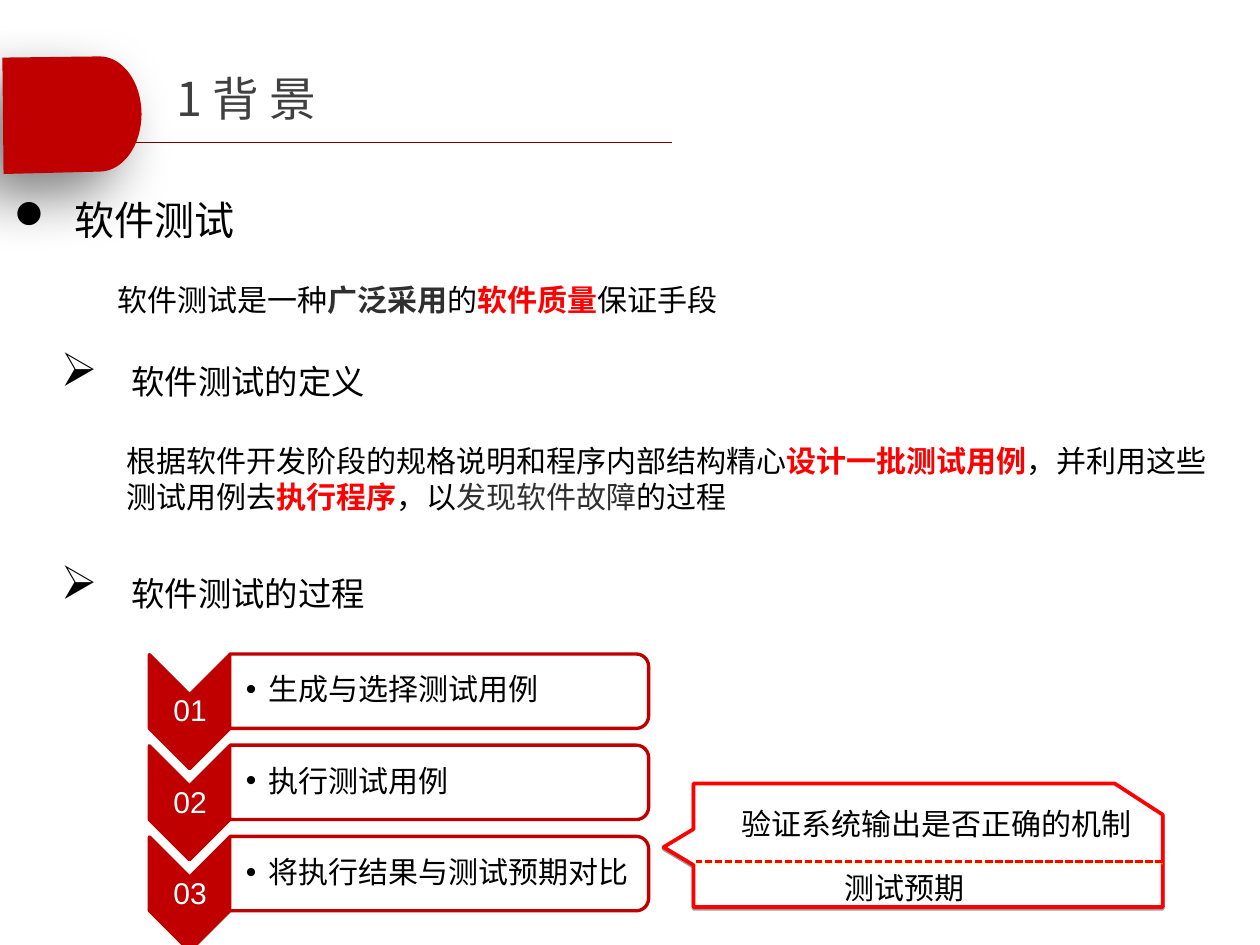
from math import cos, pi, sin
from lxml import etree
from pptx import Presentation
from pptx.dml.color import RGBColor
from pptx.enum.dml import MSO_LINE
from pptx.enum.shapes import MSO_CONNECTOR, MSO_SHAPE
from pptx.enum.text import MSO_ANCHOR, PP_ALIGN
from pptx.oxml.ns import qn
from pptx.util import Inches, Pt

WIDE = 10.5
HIGH = WIDE * 3 / 4
STRAIGHT = MSO_CONNECTOR.STRAIGHT
CHEVRON, CARD = MSO_SHAPE.CHEVRON, MSO_SHAPE.ROUND_2_SAME_RECTANGLE
DASH = MSO_LINE.SQUARE_DOT
MIDDLE, CENTER = MSO_ANCHOR.MIDDLE, PP_ALIGN.CENTER
CJK, LATIN = "Noto Sans CJK SC", "Arial"
# A bullet is (character, font); in Wingdings l is a disc and Ø an arrowhead
DISC, ARROW, DOT = ("l", "Wingdings"), ("Ø", "Wingdings"), ("•", LATIN)
WHITE = RGBColor(0xFF, 0xFF, 0xFF)
BLACK = RGBColor(0, 0, 0)
GRAY = RGBColor(0x40, 0x40, 0x40)
DARK = RGBColor(0x30, 0x30, 0x30)
CRIMSON = RGBColor(0xC0, 0, 0)
MAROON = RGBColor(0x76, 0, 0)
RED = RGBColor(0xFF, 0, 0)
YELLOW = RGBColor(0xFF, 0xFF, 0)

# A run is (text, size, colour, bold)
TITLE = [("1 背 景", 28, GRAY, False)]
TOPIC = [("软件测试", 24, BLACK, False)]
INTRO = [
    ("软件测试是一种", 18, BLACK, False), ("广泛采用", 18, DARK, True),
    ("的", 18, BLACK, False), ("软件质量", 18, RED, True),
    ("保证手段", 18, BLACK, False),
]
HEADS = [("软件测试的定义", 2.85, 3.74), ("软件测试的过程", 4.62, 4.29)]
MEANING = [
    ("根据软件开发阶段的规格说明和程序内部结构精心", 18, BLACK, False),
    ("设计一批测试用例", 18, RED, True),
    ("，并利用这些测试用例去", 18, BLACK, False), ("执行程序", 18, RED, True),
    ("，以", 18, BLACK, False), ("发现软件故障", 18, DARK, False),
    ("的过程", 18, BLACK, False),
]
STEPS = ["生成与选择测试用例", "执行测试用例", "将执行结果与测试预期对比"]
NOTES = [("测试预期", 6.94, 7.2, 2.44), ("验证系统输出是否正确的机制", 6.08, 6.66, 4.17)]
CALLOUT = [(9.69, 7.56), (5.78, 7.56), (5.78, 7.21), (5.53, 7.06),
           (5.78, 6.91), (5.78, 6.53), (9.29, 6.53), (9.69, 6.79)]

deck = Presentation()
deck.slide_width, deck.slide_height = Inches(WIDE), Inches(HIGH)
slide = deck.slides.add_slide(deck.slide_layouts[6])
shapes = slide.shapes


def shade(shape, tint=None, alpha=0, blur=0, dist=0, angle=0):
    """Give the shape an outer shadow, or none when tint is None."""
    props = shape._element.spPr
    for old in props.findall(qn("a:effectLst")):
        props.remove(old)
    effects = etree.SubElement(props, qn("a:effectLst"))
    if tint is not None:
        cast = etree.SubElement(
            effects, qn("a:outerShdw"), blurRad=str(Pt(blur)), dist=str(Pt(dist)),
            dir=str(angle * 60000), algn="ctr", rotWithShape="0")
        color = etree.SubElement(cast, qn("a:srgbClr"), val=str(tint))
        etree.SubElement(color, qn("a:alpha"), val=str(alpha * 1000))


def paint(shape, fill, line=None, weight=2):
    shape.fill.solid()
    shape.fill.fore_color.rgb = fill
    if line is None:
        shape.line.fill.background()
    else:
        shape.line.color.rgb = line
        shape.line.width = Pt(weight)
    shade(shape)


def rule(x1, x2, y, color, weight):
    line = shapes.add_connector(STRAIGHT, Inches(x1), Inches(y), Inches(x2), Inches(y))
    line.line.color.rgb = color
    line.line.width = Pt(weight)
    shade(line)
    return line


def outline(points):
    pen = shapes.build_freeform(Inches(points[0][0]), Inches(points[0][1]))
    pen.add_line_segments([(Inches(x), Inches(y)) for x, y in points[1:]])
    return pen.convert_to_shape()


def turned(kind, mid, row, length, breadth):
    """Add a shape turned a quarter clockwise about the centre (mid, row)."""
    shape = shapes.add_shape(kind, Inches(mid - length / 2), Inches(row - breadth / 2),
                             Inches(length), Inches(breadth))
    shape.rotation = 90
    return shape


def write(box, runs, bullet=None, indent=0.5, font=CJK, wrap=True, insets=None):
    area = shapes.add_textbox(*[Inches(v) for v in box])
    frame = area.text_frame
    frame.word_wrap = wrap
    if insets:
        frame.vertical_anchor = MIDDLE
        (frame.margin_left, frame.margin_top,
         frame.margin_right, frame.margin_bottom) = [Inches(v) for v in insets]
    para = frame.paragraphs[0]
    for text, size, color, bold in runs:
        run = para.add_run()
        run.text = text
        run.font.size, run.font.bold = Pt(size), bold
        run.font.color.rgb = color
        run.font.name = font
        etree.SubElement(run._r.get_or_add_rPr(), qn("a:ea"), typeface=font)
    if bullet:
        mark, face = bullet
        props = para._p.get_or_add_pPr()
        props.set("marL", str(Inches(indent)))
        props.set("indent", str(-Inches(indent)))
        etree.SubElement(props, qn("a:buFont"), typeface=face)
        etree.SubElement(props, qn("a:buChar"), char=mark)
    return para


# Heading band
rule(0.69, 5.6, 1.19, MAROON, 0.75)
bend = [(0.83 + 0.35 * sin(pi * i / 32), 0.95 - 0.48 * cos(pi * i / 32))
        for i in range(33)]
tab = outline([(0.02, 0.48)] + bend + [(0.03, 1.45)])
paint(tab, CRIMSON)
shade(tab, BLACK, 50, 35, 20, 135)
write((1.35, 0.32, 1.77, 0.99), TITLE, insets=(0.12, 0.06, 0.12, 0.06))

# Body text
write((0.02, 1.58, 2.05, 0.5), TOPIC, DISC, wrap=False)
for head, top, width in HEADS:
    write((0.41, top, width, 0.57),
          [(" ", 28, BLACK, False), (head, 20, BLACK, False)], ARROW)
write((0.96, 3.64, 9.29, 0.71), MEANING)
write((0.88, 2.3, 6.54, 0.4), INTRO)

# Callout
callout = outline(CALLOUT)
paint(callout, WHITE, RED, 2.25)
shade(callout, BLACK, 40, 0, 1, 90)
divider = rule(9.69, 5.8, 7.18, RED, 1.5)
divider.line.dash_style = DASH
shade(divider, YELLOW, 40, 0, 1, 90)
for note, left, top, width in NOTES:
    write((left, top, width, 0.4), [(note, 18, BLACK, False)])

# Steps
FIRST, PITCH = 5.93, 0.76
for i, step in enumerate(STEPS):
    row = FIRST + i * PITCH
    paint(turned(CHEVRON, 1.58, row, 0.95, 0.67), CRIMSON, CRIMSON)
    number = write((1.25, row - 0.14, 0.67, 0.29), [(f"{i + 1:02}", 18, WHITE, False)],
                   font=LATIN, insets=(0.01,) * 4)
    number.alignment = CENTER
    number.line_spacing = 0.9
    card = turned(CARD, 3.66, row - 0.17, 0.62, 3.49)
    paint(card, WHITE, CRIMSON)
    tone = card._element.spPr.find(qn("a:solidFill"))[0]
    etree.SubElement(tone, qn("a:alpha"), val="90000")
    label = write((1.91, row - 0.45, 3.46, 0.56), [(step, 18, BLACK, False)], DOT, 0.19,
                  insets=(0.14, 0.01, 0.01, 0.01))
    label.line_spacing = 0.9

deck.save("out.pptx")
